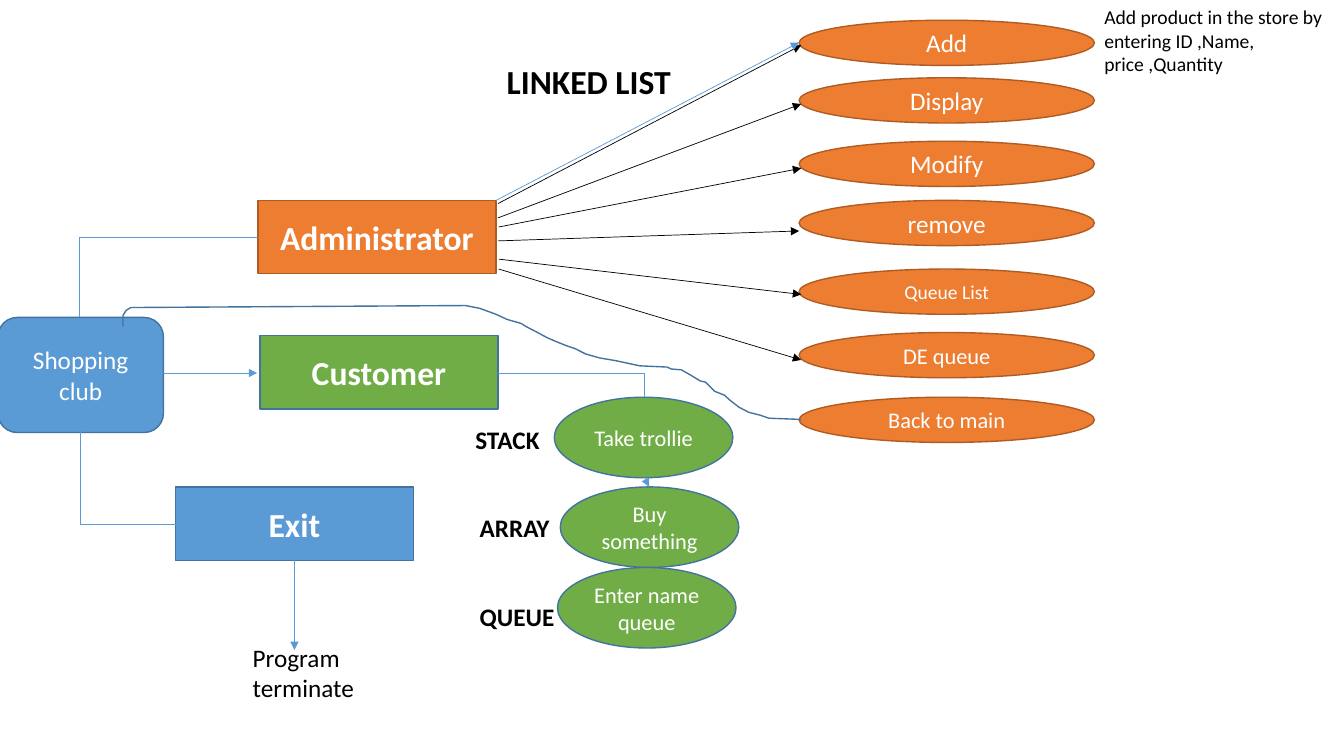
from lxml import etree
from pptx import Presentation
from pptx.dml.color import RGBColor
from pptx.enum.shapes import MSO_CONNECTOR as Link, MSO_SHAPE as Shape
from pptx.enum.text import MSO_ANCHOR as Anchor, MSO_AUTO_SIZE as AutoSize, PP_ALIGN as Align
from pptx.oxml.ns import qn
from pptx.util import Cm, Pt

ORANGE, DARK_ORANGE = "ED7D31", "AF5C24"
BLUE, DARK_BLUE = "5B9BD5", "43739E"
GREEN, BLACK, WHITE = "70AD47", "000000", "FFFFFF"

BOX_SIZE = (6, 1.85)
ACTION_SIZE = (7.44, 1.14)
STEP_SIZE = (4.5, 2.03)
ACTION_LEFT = 20.14

# label, font size, top of the ellipse, arrow start, arrow end
ACTIONS = [
    ("Add", 18, 0.51, (12.55, 5.13), (20.19, 1.14)),
    ("Display", 18, 1.96, (12.55, 5.49), (20.19, 2.62)),
    ("Modify", 18, 3.56, (12.57, 5.72), (20.19, 4.24)),
    ("remove", 18, 5.05, (12.55, 6.07), (20.14, 5.82)),
    ("Queue List", 14, 6.78, (12.57, 6.53), (20.19, 7.42)),
    ("DE queue", 16, 8.38, (12.57, 6.78), (20.19, 9.07)),
]

RETURN_ROUTE = [
    (20.19, 10.57), (19.38, 10.54), (19.15, 10.46), (18.87, 10.39), (18.62, 10.26),
    (18.39, 10.08), (18.26, 9.96), (18.01, 9.86), (17.78, 9.63), (17.65, 9.6),
    (17.4, 9.45), (17.17, 9.32), (16.92, 9.3), (16.81, 9.25), (16.13, 9.22),
    (15.52, 9.09), (15.11, 9.02), (14.76, 8.92), (14.5, 8.79), (14.27, 8.71),
    (14.02, 8.61), (13.79, 8.51), (13.51, 8.36), (13.26, 8.23), (13.13, 8.15),
    (12.78, 8.05), (12.5, 7.92), (12.09, 7.77), (11.73, 7.7), (3.3, 7.75),
    (3.18, 7.82), (3.1, 7.95), (3.1, 8.23),
]


def rgb(value):
    return RGBColor.from_string(value)


def write(frame, text, size=18, color=WHITE, bold=False, align=Align.CENTER,
          anchor=Anchor.MIDDLE, wrap=True, font="Calibri"):
    frame.word_wrap = wrap
    frame.vertical_anchor = anchor
    paragraph = frame.paragraphs[0]
    paragraph.alignment = align
    run = paragraph.add_run()
    run.text = text
    run.font.name, run.font.size, run.font.bold = font, Pt(size), bold
    run.font.color.rgb = rgb(color)


class FlowChart:
    """Draws on one slide; all lengths are in centimetres."""

    def __init__(self, slide, outline=1, thin=0.5):
        self.shapes = slide.shapes
        self.outline, self.thin = Pt(outline), Pt(thin)

    def node(self, kind, text, place, extent, fill, line=DARK_BLUE, **style):
        node = self.shapes.add_shape(kind, *map(Cm, place + extent))
        node.shadow.inherit = False
        node.fill.solid()
        node.fill.fore_color.rgb = rgb(fill)
        node.line.color.rgb = rgb(line)
        node.line.width = self.outline
        write(node.text_frame, text, **style)

    def label(self, text, place, extent, **style):
        frame = self.shapes.add_textbox(*map(Cm, place + extent)).text_frame
        write(frame, text, color=BLACK, align=Align.LEFT, anchor=Anchor.TOP, **style)
        frame.auto_size = AutoSize.SHAPE_TO_FIT_TEXT

    def link(self, start, end, color=BLUE, arrow="tailEnd", bent=False):
        """Join two points; a bent link runs across first, then up or down."""
        kind = Link.ELBOW if bent else Link.STRAIGHT
        link = self.shapes.add_connector(kind, *map(Cm, start + end))
        link.line.color.rgb = rgb(color)
        link.line.width = self.thin
        properties = link._element.spPr
        if bent:
            properties.find(qn("a:prstGeom")).set("prst", "bentConnector2")
        if arrow:
            etree.SubElement(properties.find(qn("a:ln")), qn(f"a:{arrow}"), type="triangle")
        etree.SubElement(properties, qn("a:effectLst"))

    def route(self, points, color=DARK_BLUE):
        first, *rest = [(Cm(x), Cm(y)) for x, y in points]
        builder = self.shapes.build_freeform(*first)
        builder.add_line_segments(rest, close=False)
        route = builder.convert_to_shape()
        route.shadow.inherit = False
        route.fill.background()
        route.line.color.rgb = rgb(color)
        route.line.width = self.outline


def draw_menu(chart):
    heading = {"size": 24, "bold": True}
    chart.node(Shape.RECTANGLE, "Administrator", (6.5, 5.05), BOX_SIZE, ORANGE,
               DARK_ORANGE, **heading)
    chart.node(Shape.RECTANGLE, "Customer", (6.55, 8.46), BOX_SIZE, GREEN, **heading)
    chart.node(Shape.RECTANGLE, "Exit", (4.42, 12.27), BOX_SIZE, BLUE, **heading)
    chart.node(Shape.ROUNDED_RECTANGLE, "Shopping club", (-0.05, 8), (4.17, 2.9), BLUE)
    chart.link((4.11, 9.4), (6.48, 9.4))
    chart.link((6.48, 13.21), (2.03, 10.85), arrow="headEnd", bent=True)
    chart.link((6.5, 5.99), (2.01, 8), arrow=None, bent=True)
    chart.link((7.42, 14.12), (7.42, 16.38))
    chart.label("Program terminate", (6.12, 16.05), (3.38, 1.85))


def draw_administrator(chart):
    ellipses = [(text, size, top) for text, size, top, *_ in ACTIONS]
    for text, size, top in ellipses + [("Back to main", 16, 10.01)]:
        chart.node(Shape.OVAL, text, (ACTION_LEFT, top), ACTION_SIZE, ORANGE,
                   DARK_ORANGE, size=size)
    for *_, start, end in ACTIONS:
        chart.link(start, end, BLACK)
    chart.route(RETURN_ROUTE)
    chart.link((12.5, 5.05), (20.14, 1.07))
    chart.label("Add product in the store by entering ID ,Name, price ,Quantity",
                (27.58, 0), (6.27, 2.06), size=14)
    chart.label("LINKED LIST", (12.52, 1.4), (5.08, 1.27), size=24, bold=True)


def draw_customer(chart):
    for text, place in (("Buy something", (14.12, 12.27)),
                        ("Take trollie", (13.97, 10.01)),
                        ("Enter name queue", (14.05, 14.3))):
        chart.node(Shape.OVAL, text, place, STEP_SIZE, GREEN, size=16)
    chart.link((12.55, 9.4), (16.23, 10.01), arrow=None, bent=True)
    chart.link((16.23, 12.01), (16.36, 12.27))
    for text, place, width, wrap in (("STACK", (11.73, 10.57), 2.82, True),
                                     ("ARRAY", (11.84, 12.78), 2.29, False),
                                     ("QUEUE", (11.84, 15.04), 2.41, False)):
        chart.label(text, place, (width, 1.02), bold=True, wrap=wrap)


def main():
    deck = Presentation()
    deck.slide_width, deck.slide_height = Cm(33.87), Cm(19.05)
    blank = deck.slide_layouts[6]
    chart = FlowChart(deck.slides.add_slide(blank))
    draw_menu(chart)
    draw_administrator(chart)
    draw_customer(chart)
    deck.save("out.pptx")


if __name__ == "__main__":
    main()
